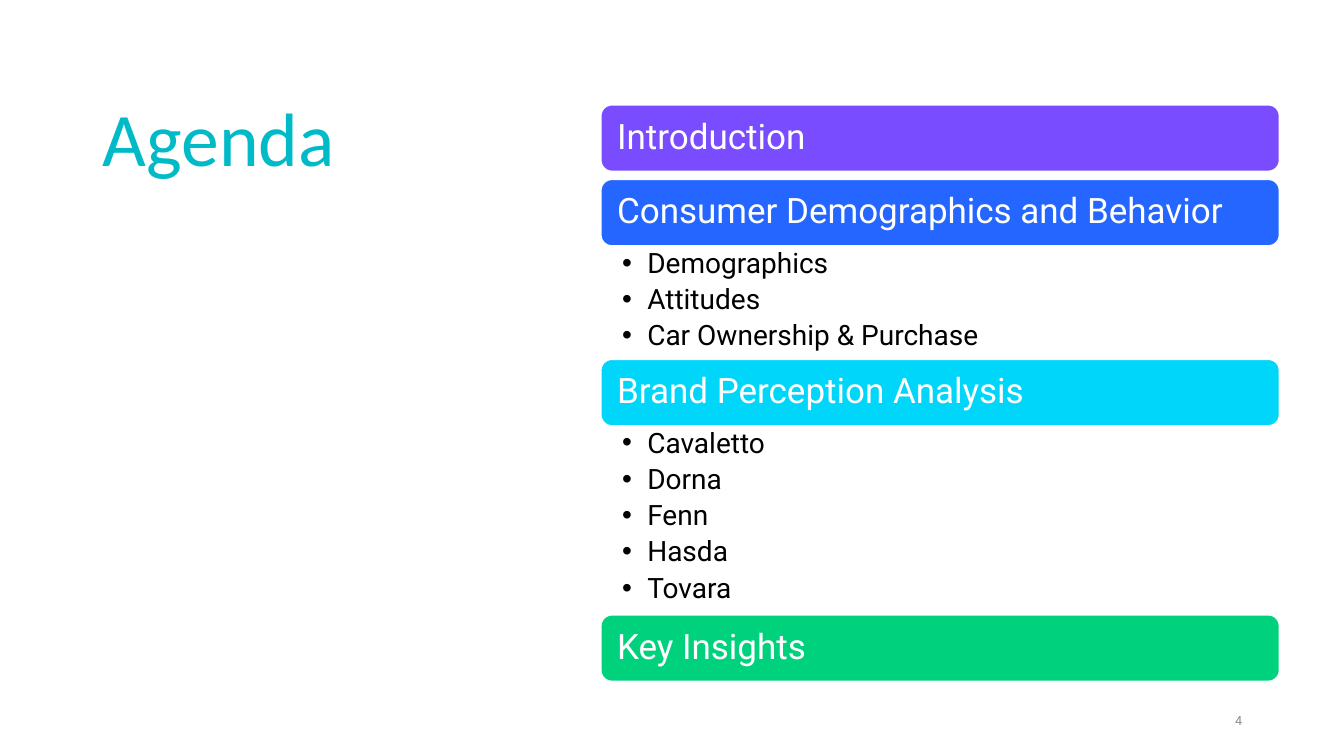
from lxml.etree import SubElement
from pptx import Presentation
from pptx.dml.color import RGBColor
from pptx.enum.shapes import MSO_SHAPE as Shape
from pptx.enum.text import MSO_ANCHOR as Anchor, MSO_AUTO_SIZE as AutoSize, PP_ALIGN as Align
from pptx.oxml.ns import qn
from pptx.util import Inches, Pt


def color(value):
    return RGBColor.from_string(value)


def write(box, lines, font, size, fill, frame_format, para_format):
    """Fill a shape with one paragraph per line and return the paragraphs."""
    frame = box.text_frame
    frame.word_wrap = True
    frame.auto_size = AutoSize.NONE
    for name, value in frame_format.items():
        setattr(frame, name, value)
    frame.text = "\n".join(lines)
    for para in frame.paragraphs:
        for name, value in para_format.items():
            setattr(para, name, value)
        for span in para.runs:
            span.font.name = font
            span.font.size = Pt(size)
            span.font.color.rgb = color(fill)
    return frame.paragraphs


# Sections of the agenda: heading, bar colour, sub-items
SECTIONS = [
    ("Introduction", "794DFF", []),
    ("Consumer Demographics and Behavior", "2466FF",
     ["Demographics", "Attitudes", "Car Ownership & Purchase"]),
    ("Brand Perception Analysis", "00D5FA",
     ["Cavaletto", "Dorna", "Fenn", "Hasda", "Tovara"]),
    ("Key Insights", "00D17D", []),
]
LEFT, WIDTH = 5.96, 6.73
BAR_HEIGHT, BAR_GAP, ITEM_HEIGHT = 0.66, 0.08, 0.375

BAR_FRAME = {"vertical_anchor": Anchor.MIDDLE,
             "margin_left": Inches(0.13), "margin_right": Inches(0.13)}
BAR_PARA = {"alignment": Align.LEFT, "line_spacing": 0.9}
LIST_FRAME = {"vertical_anchor": Anchor.TOP,
              "margin_left": Inches(0.21), "margin_right": Inches(0.19),
              "margin_top": Inches(0.03), "margin_bottom": Inches(0.03)}
LIST_PARA = {"alignment": Align.LEFT, "line_spacing": 0.9,
             "space_before": Pt(0), "space_after": Pt(4.3)}

deck = Presentation()
deck.slide_width, deck.slide_height = Inches(13.33), Inches(7.5)
page = deck.slides.add_slide(deck.slide_layouts.get_by_name("Two Content"))

# Title
title, *list_boxes = page.placeholders
title.left, title.top = Inches(0.92), Inches(0.85)
title.width, title.height = Inches(4.41), Inches(5.9)
write(title, ["Agenda"], "Calibri", 54, "00BAC8",
      {"vertical_anchor": Anchor.TOP}, {"alignment": Align.LEFT})

# Section bars, each followed by its bulleted list
free_lists = iter(list_boxes)
top = 1.04
for heading, fill, items in SECTIONS:
    bar = page.shapes.add_shape(Shape.ROUNDED_RECTANGLE, Inches(LEFT), Inches(top),
                                Inches(WIDTH), Inches(BAR_HEIGHT))
    bar.shadow.inherit = False
    bar.fill.solid()
    bar.fill.fore_color.rgb = color(fill)
    bar.line.color.rgb = color("FFFFFF")
    bar.line.width = Pt(1)
    write(bar, [heading], "Roboto", 25, "FFFFFF", BAR_FRAME, BAR_PARA)
    top += BAR_HEIGHT

    if not items:
        top += BAR_GAP
        continue
    box = next(free_lists)
    height = ITEM_HEIGHT * len(items)
    box.left, box.top = Inches(LEFT), Inches(top)
    box.width, box.height = Inches(WIDTH), Inches(height)
    for para in write(box, items, "Roboto", 20, "000000", LIST_FRAME, LIST_PARA):
        properties = para._p.get_or_add_pPr()
        properties.set("marL", str(Inches(0.25)))
        properties.set("indent", str(-Inches(0.25)))
        SubElement(properties, qn("a:buChar")).set("char", "•")
    top += height

# Page number
number = page.shapes.add_textbox(Inches(9.42), Inches(6.95), Inches(3), Inches(0.4))
write(number, ["4"], "Roboto", 9, "8C8C8C",
      {"vertical_anchor": Anchor.MIDDLE}, {"alignment": Align.RIGHT})

deck.save("out.pptx")
